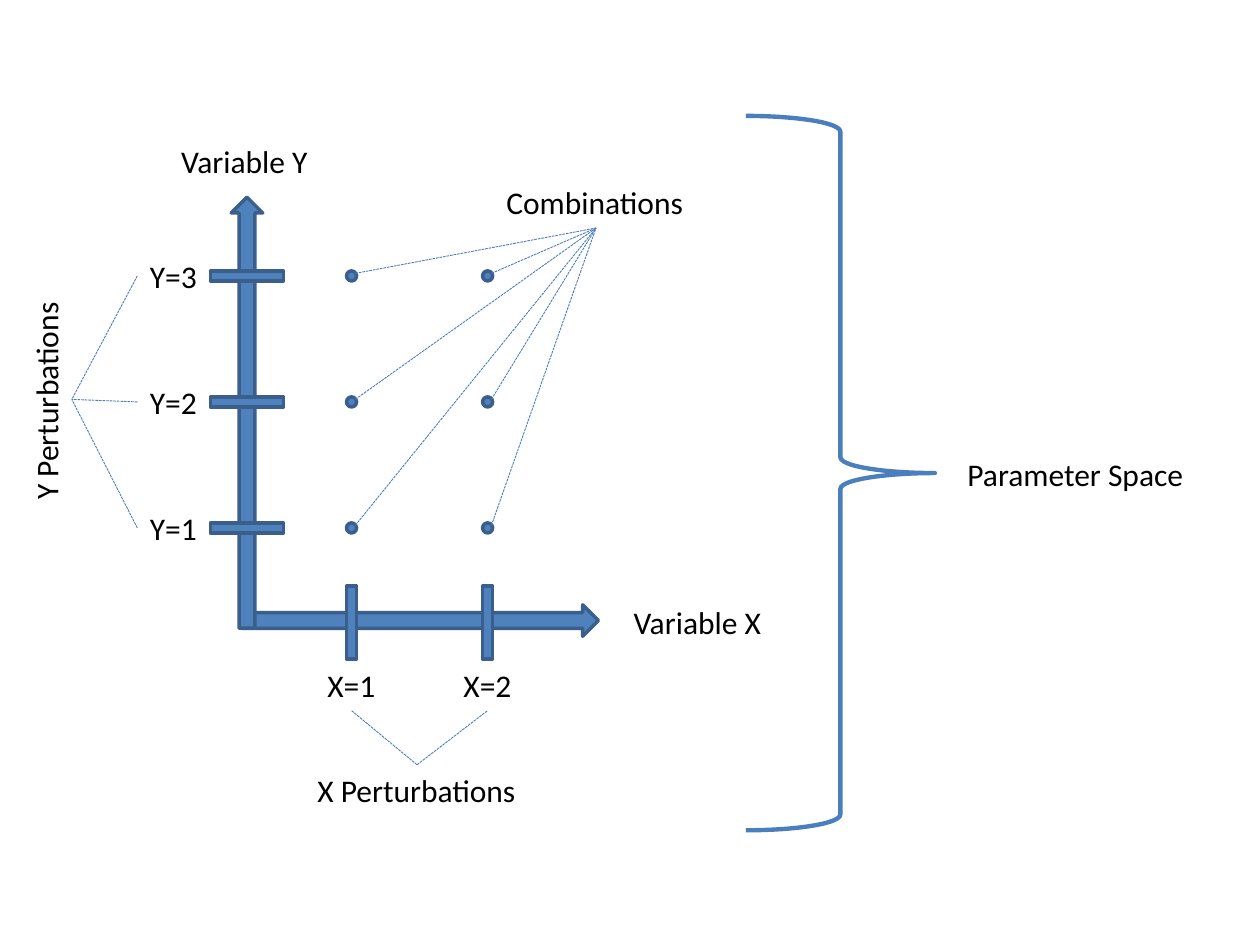
from lxml import etree
from pptx import Presentation
from pptx import util as u
from pptx.dml import color
from pptx.enum import dml, shapes, text
from pptx.oxml import ns

HUES = {"fill": "4F81BD", "edge": "3A5F8C", "line": "4B7EBC", "ink": "000000"}
KIND = shapes.MSO_SHAPE


def write(frame, words, size=18, font="Calibri", hue="ink", align="LEFT"):
    frame.word_wrap = False
    frame.auto_size = text.MSO_AUTO_SIZE.SHAPE_TO_FIT_TEXT
    para = frame.paragraphs[0]
    para.alignment = getattr(text.PP_ALIGN, align)
    run = para.add_run()
    run.text = words
    run.font.size = u.Pt(size)
    run.font.name = font
    run.font.color.rgb = color.RGBColor.from_string(HUES[hue])


class Board:
    def __init__(self, slide):
        self.slide = slide

    def stroke(self, line, hue, width):
        line.color.rgb = color.RGBColor.from_string(HUES[hue])
        line.width = u.Pt(width)

    def shape(self, kind, x, y, w, h, turn=0, fill="fill", edge="edge", width=2):
        item = self.slide.shapes.add_shape(kind, *map(u.Inches, (x, y, w, h)))
        item.rotation = turn
        item.shadow.inherit = False
        if fill:
            item.fill.solid()
            item.fill.fore_color.rgb = color.RGBColor.from_string(HUES[fill])
        else:
            item.fill.background()
        self.stroke(item.line, edge, width)

    def label(self, words, x, y, w, h=0.4, turn=0, **style):
        box = self.slide.shapes.add_textbox(*map(u.Inches, (x, y, w, h)))
        box.rotation = turn
        write(box.text_frame, words, **style)

    def dash(self, start, end):
        item = self.slide.shapes.add_connector(
            shapes.MSO_CONNECTOR.STRAIGHT, *map(u.Inches, start + end))
        self.stroke(item.line, "line", 0.5)
        item.line.dash_style = dml.MSO_LINE.SQUARE_DOT
        etree.SubElement(item._element.spPr, ns.qn("a:effectLst"))


deck = Presentation()
deck.slide_width, deck.slide_height = u.Inches(10), u.Inches(7.5)
board = Board(deck.slides.add_slide(deck.slide_layouts[6]))

# Grid centres, keyed by variable value
cols = {1: 2.79, 2: 3.87}
rows = {3: 2.19, 2: 3.19, 1: 4.19}
tick, thin = 0.58, 0.08

# Axes
board.shape(KIND.RIGHT_ARROW, 1.92, 4.8, 2.83, 0.25)
board.shape(KIND.RIGHT_ARROW, 0.25, 3.15, 3.42, 0.25, turn=270)
board.label("Variable Y", 1.33, 1.08, 1.22, align="CENTER")
board.label("Variable X", 4.92, 4.74, 1.23, align="CENTER")

# Y ticks, with the fan to their shared label
for num, y in rows.items():
    board.shape(KIND.RECTANGLE, 1.67, y - thin / 2, tick, thin)
    board.label(f"Y={num}", 1.09, y - 0.2, 0.58)
    board.dash((1.09, y), (0.57, 3.17))
board.label("Y Perturbations", -0.53, 2.97, 1.79, turn=270)

# X ticks, with the fan to their shared label
for num, x in cols.items():
    board.shape(KIND.RECTANGLE, x - tick / 2, 4.9, tick, thin, turn=90)
    board.label(f"X={num}", x - 0.29, 5.24, 0.59)
    board.dash((3.31, 6.07), (x, 5.64))
board.label("X Perturbations", 2.42, 6.07, 1.79)

# Combinations
for x in cols.values():
    for y in rows.values():
        board.shape(KIND.OVAL, x - thin / 2, y - thin / 2, thin, thin)
        board.dash((x + 0.03, y - 0.02), (4.73, 1.81))
board.label("Combinations", 3.92, 1.4, 1.62)

# Parameter space
board.shape(KIND.RIGHT_BRACE, 5.92, 0.92, 1.5, 5.67,
            fill=None, edge="line", width=2.5)
board.label("Parameter Space", 7.58, 3.56, 1.93)

deck.save("out.pptx")
